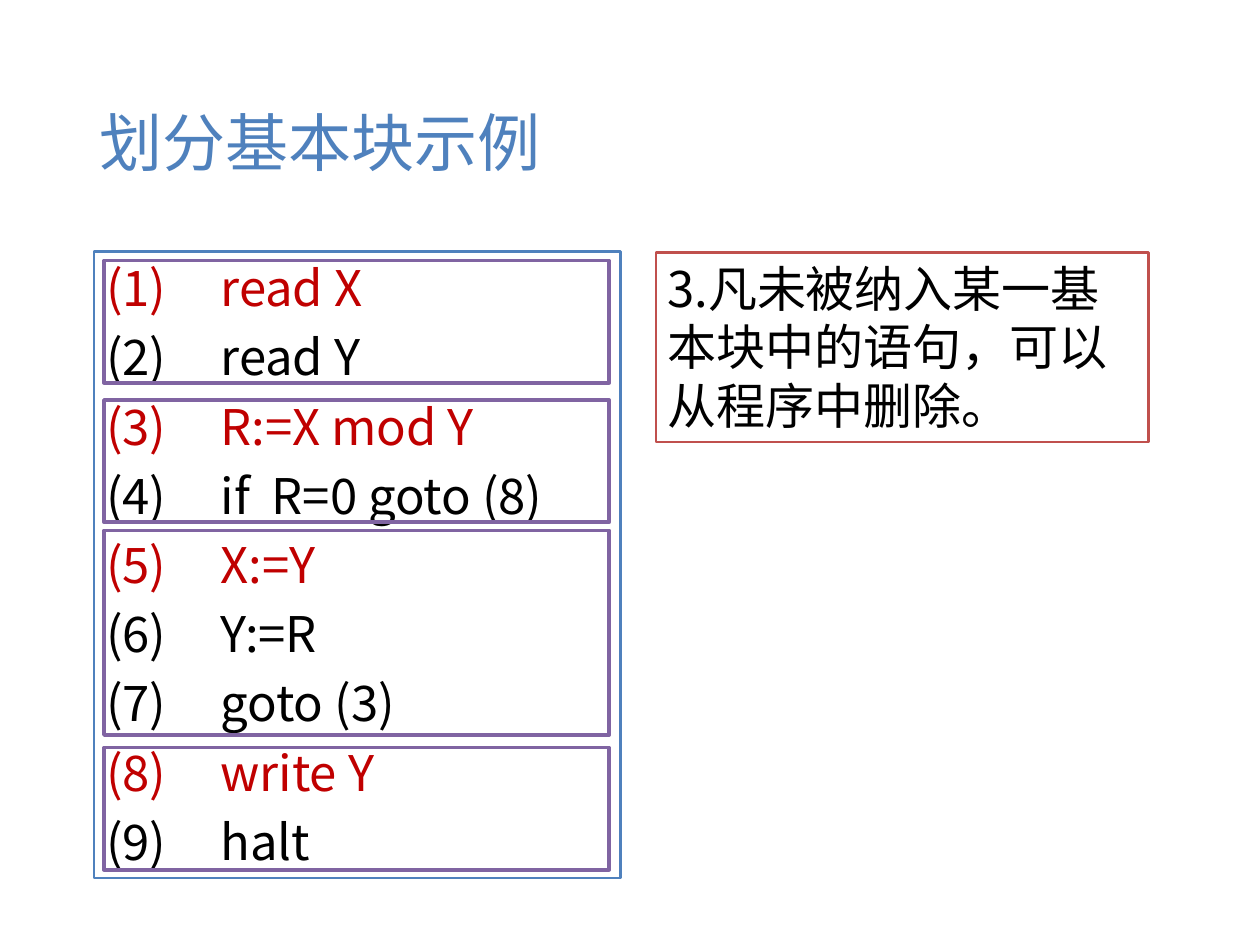
from dataclasses import dataclass

from lxml import etree
from pptx import Presentation
from pptx import util as u
from pptx.dml.color import RGBColor
from pptx.enum import shapes, text
from pptx.oxml import ns


@dataclass(frozen=True)
class Theme:
    """Colours, type sizes and line widths."""
    font: str = "Noto Sans CJK SC"
    blue: str = "4F81BD"
    red: str = "C0504D"
    plum: str = "8064A2"
    lead: str = "C00000"
    ink: str = "000000"
    paper: str = "FFFFFF"
    head: float = 39.7
    body: float = 30.9
    pitch: float = 37
    gap: float = 6.6
    thin: float = 1.5
    thick: float = 2.25


T = Theme()
WIDE, HIGH = 28 / 2.54, 21 / 2.54
TITLE = "划分基本块示例"
RULE = "3.凡未被纳入某一基本块中的语句，可以从程序中删除。"
BLOCKS = [
    (0.08, ["read X", "read Y"]),
    (1.3, ["R:=X mod Y", "if  R=0 goto (8)"]),
    (2.44, ["X:=Y", "Y:=R", "goto (3)"]),
    (4.34, ["write Y", "halt"]),
]


def style(para, size, color):
    """Set the type of one paragraph."""
    font = para.font
    font.size = u.Pt(size)
    font.color.rgb = RGBColor.from_string(color)
    font.name = T.font
    props = para._p.pPr.find(ns.qn("a:defRPr"))
    etree.SubElement(props, ns.qn("a:ea")).set("typeface", T.font)


def frame(slide, box, line, width, fill=None):
    """Draw an outlined rectangle and return it."""
    rect = slide.shapes.add_shape(shapes.MSO_SHAPE.RECTANGLE, *map(u.Inches, box))
    rect.shadow.inherit = False
    rect.line.color.rgb = RGBColor.from_string(line)
    rect.line.width = u.Pt(width)
    if fill:
        rect.fill.solid()
        rect.fill.fore_color.rgb = RGBColor.from_string(fill)
    else:
        rect.fill.background()
    return rect


def setup(shape, pad, anchor):
    """Set wrapping, insets and anchor, and return the text frame."""
    body = shape.text_frame
    body.word_wrap = True
    body.vertical_anchor = anchor
    body.margin_left = body.margin_right = u.Inches(pad)
    body.margin_top = body.margin_bottom = u.Inches(pad / 2)
    return body


def title(slide, box):
    """Place the slide title."""
    area = slide.shapes.add_textbox(*map(u.Inches, box))
    body = setup(area, 0.11, text.MSO_ANCHOR.MIDDLE)
    para = body.paragraphs[0]
    para.text = TITLE
    style(para, T.head, T.blue)


def rule(slide, box):
    """Place the boxed rule."""
    body = setup(frame(slide, box, T.red, T.thin, T.paper), 0.1, text.MSO_ANCHOR.TOP)
    para = body.paragraphs[0]
    para.text = RULE
    para.alignment = text.PP_ALIGN.LEFT
    para.line_spacing = u.Pt(T.pitch)
    style(para, T.body, T.ink)


def code(slide, box):
    """List the statements and outline each basic block."""
    left, top, width, _ = box
    body = setup(frame(slide, box, T.blue, T.thin, T.paper), 0.11, text.MSO_ANCHOR.TOP)
    rows = [(line, i == 0) for _, lines in BLOCKS for i, line in enumerate(lines)]
    for num, (line, first) in enumerate(rows, 1):
        para = body.paragraphs[0] if num == 1 else body.add_paragraph()
        para.text = f"({num})\t{line}"
        para.alignment = text.PP_ALIGN.LEFT
        para.line_spacing = u.Pt(T.pitch)
        if num > 1:
            para.space_before = u.Pt(T.gap)
        tabs = etree.SubElement(para._p.get_or_add_pPr(), ns.qn("a:tabLst"))
        stop = etree.SubElement(tabs, ns.qn("a:tab"))
        stop.set("pos", str(u.Inches(1)))
        stop.set("algn", "l")
        style(para, T.body, T.lead if first else T.ink)
    for drop, lines in BLOCKS:
        tall = 0.72 * len(lines) - 0.37
        frame(slide, (left + 0.09, top + drop, width - 0.19, tall), T.plum, T.thick)


def main():
    """Build and save the slide."""
    deck = Presentation()
    deck.slide_width, deck.slide_height = u.Inches(WIDE), u.Inches(HIGH)
    slide = deck.slides.add_slide(deck.slide_layouts[6])
    title(slide, (0.76, 0.44, 9.51, 1.6))
    rule(slide, (5.74, 2.21, 4.31, 1.66))
    code(slide, (0.82, 2.2, 4.61, 5.48))
    deck.save("out.pptx")


if __name__ == "__main__":
    main()
